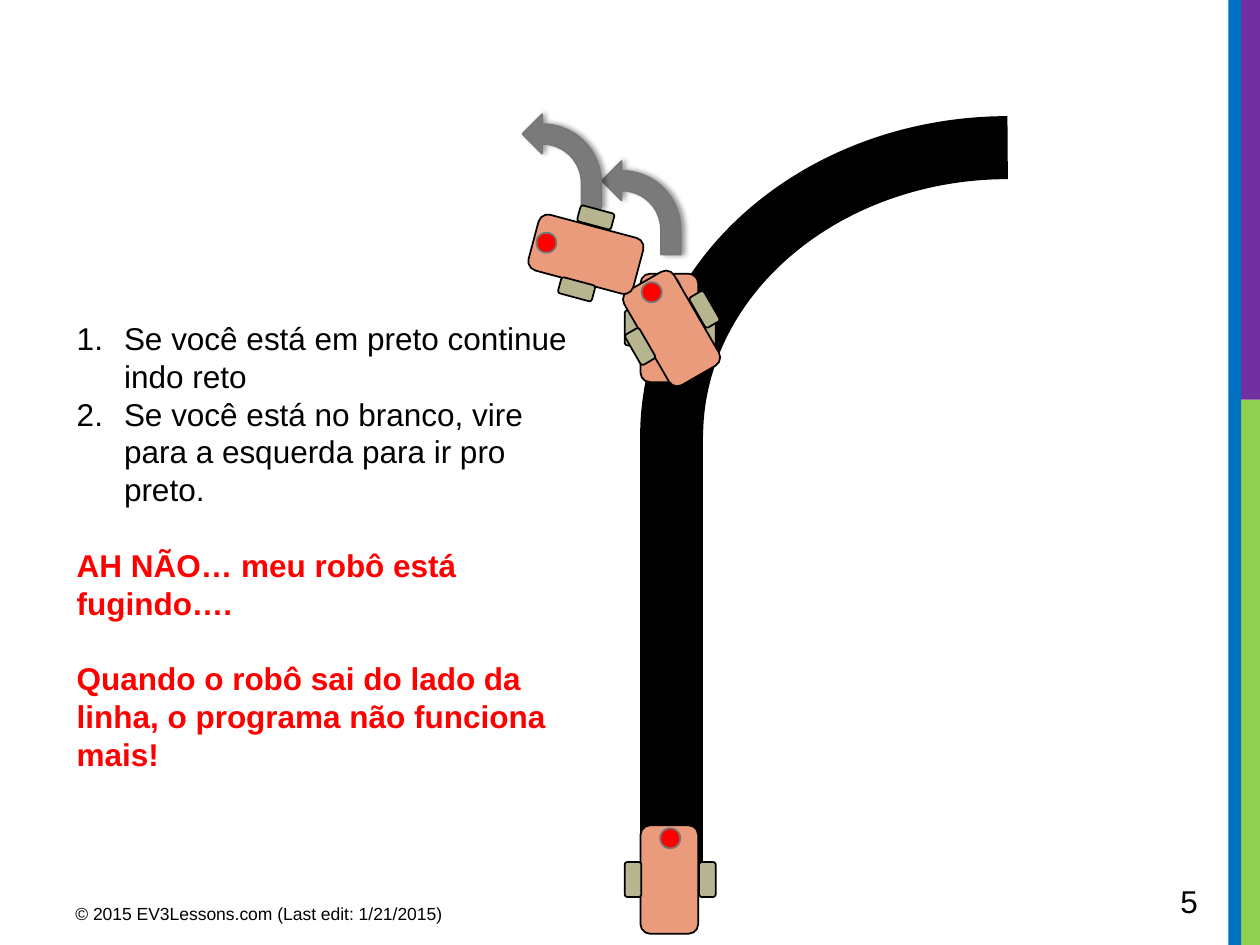
import pptx
import pptx.util
import pptx.dml.color
import pptx.enum.shapes
import pptx.enum.text
import pptx.oxml
import pptx.oxml.ns

Pt = pptx.util.Pt
KIND = pptx.enum.shapes.MSO_SHAPE
TEXT = pptx.enum.text
NS = pptx.oxml.ns.nsdecls("a")
HEX = {
    "black": "000000", "red": "FF0000", "body": "EA9B7C", "wheel": "B6B590",
    "gray": "777777", "arrow": "7A7A7A", "green": "92D050",
    "purple": "7030A0", "blue": "0070C0",
}


def tint(name):
    """Return the named colour."""
    return pptx.dml.color.RGBColor.from_string(HEX[name])


def add_form(shapes, kind, box, fill=None, line=None, width=1):
    """Add a preset shape with a plain fill and outline."""
    form = shapes.add_shape(kind, *map(Pt, box))
    form.shadow.inherit = False
    if fill:
        form.fill.solid()
        form.fill.fore_color.rgb = tint(fill)
    else:
        form.fill.background()
    if line:
        form.line.color.rgb = tint(line)
        form.line.width = Pt(width)
    else:
        form.line.fill.background()
    return form


def flip(form):
    """Mirror a shape left to right."""
    form._element.spPr.xfrm.set("flipH", "1")


def add_edge(slide, x, y, w, h):
    """Draw the colour bands on the right edge."""
    split = 0.423 * h
    for fill, left, top, wide, tall in (
        ("green", 6.5, split, w - 6.5, h - split),
        ("purple", 3.6, 0, w - 3.6, split),
        ("blue", 0, 0, 7.2, h),
    ):
        add_form(slide.shapes, KIND.RECTANGLE, (x + left, y + top, wide, tall), fill)


def add_road(slide, x, y, w, h):
    """Draw the straight road and its bend."""
    line = slide.shapes.add_connector(
        pptx.enum.shapes.MSO_CONNECTOR.STRAIGHT, Pt(x), Pt(y + h), Pt(x), Pt(y + 163.5))
    line.line.color.rgb = tint("black")
    line.line.width = Pt(36)
    line._element.spPr.append(pptx.oxml.parse_xml(f"<a:effectLst {NS}/>"))
    bend = add_form(slide.shapes, KIND.ARC, (x, y, w, 330), line="black", width=36)
    flip(bend)


def add_robot(slide, x, y, w, h, turn=0):
    """Draw a robot with two wheels and a sensor."""
    group = slide.shapes.add_group_shape()
    parts = group.shapes
    wheel = 9.5
    body = 33
    add_form(parts, KIND.ROUNDED_RECTANGLE, (x + (w - body) / 2 - 0.5, y, body, h), "body", "black")
    for left in (x + w - wheel, x):
        add_form(parts, KIND.ROUNDED_RECTANGLE, (left, y + 21, wheel, 20), "wheel", "black")
    add_form(parts, KIND.OVAL, (x + (w - 11.5) / 2, y + 1.7, 11.5, 11.5), "red", "gray")
    group.rotation = turn


def add_turn(slide, x, y, w, h):
    """Draw an arrow that bends to the left."""
    arrow = add_form(slide.shapes, KIND.BENT_ARROW, (x, y, w, h), "arrow", "gray")
    arrow.adjustments[3] = 0.75
    flip(arrow)
    props = arrow._element.spPr
    props.remove(props.find(pptx.oxml.ns.qn("a:effectLst")))
    props.append(pptx.oxml.parse_xml(
        f'<a:effectLst {NS}><a:outerShdw blurRad="{Pt(3.1)}" dist="{Pt(1.8)}" dir="0">'
        f'<a:srgbClr val="{HEX["black"]}"><a:alpha val="40000"/></a:srgbClr>'
        '</a:outerShdw></a:effectLst>'))


def add_frame(slide, x, y, w, h):
    """Add an empty wrapped text box."""
    frame = slide.shapes.add_textbox(Pt(x), Pt(y), Pt(w), Pt(h)).text_frame
    frame.word_wrap = True
    return frame


def add_run(para, text, size, fill="black", bold=False):
    """Add one run of text."""
    run = para.add_run()
    run.text = text
    run.font.name = "Arial"
    run.font.size = Pt(size)
    run.font.bold = bold
    run.font.color.rgb = tint(fill)


def add_rules(slide, x, y, w, h):
    """Write the numbered rules and the red notes."""
    frame = add_frame(slide, x, y, w, h)
    frame.auto_size = TEXT.MSO_AUTO_SIZE.SHAPE_TO_FIT_TEXT
    rows = (
        ("Se você está em preto continue indo reto", True),
        ("Se você está no branco, vire para a esquerda para ir pro preto.", True),
        ("AH NÃO… meu robô está fugindo….", False),
        ("Quando o robô sai do lado da linha, o programa não funciona mais!", False),
    )
    for i, (text, rule) in enumerate(rows):
        para = frame.add_paragraph() if i else frame.paragraphs[0]
        if rule:
            props = para._p.get_or_add_pPr()
            props.set("marL", str(Pt(27)))
            props.set("indent", str(-Pt(27)))
            props.append(pptx.oxml.parse_xml(f'<a:buFont {NS} typeface="+mj-lt"/>'))
            props.append(pptx.oxml.parse_xml(f'<a:buAutoNum {NS} type="arabicPeriod"/>'))
        else:
            para.space_before = Pt(21.6)
        add_run(para, text, 18, "black" if rule else "red", not rule)


def add_label(slide, x, y, w, h, text, size):
    """Write one line in the middle of its box."""
    frame = add_frame(slide, x, y, w, h)
    frame.vertical_anchor = TEXT.MSO_ANCHOR.MIDDLE
    add_run(frame.paragraphs[0], text, size)


def main():
    """Build and save the slide."""
    deck = pptx.Presentation()
    deck.slide_width, deck.slide_height = Pt(720), Pt(540)
    slide = deck.slides.add_slide(deck.slide_layouts[6])
    add_edge(slide, 702, 0, 18, 540)
    add_road(slide, 383.8, 84.4, 384, 416.6)
    add_robot(slide, 357, 471.6, 52, 62)
    add_robot(slide, 357, 156.4, 52, 62)
    add_turn(slide, 344, 92, 45, 53.5)
    add_robot(slide, 358.2, 156.4, 52, 62, 330)
    add_turn(slide, 298.6, 65.3, 45, 53.5)
    add_robot(slide, 309, 113.8, 52, 62, 285)
    add_rules(slide, 36.8, 178.8, 304, 269)
    add_label(slide, 36, 511, 270, 22, "© 2015 EV3Lessons.com (Last edit: 1/21/2015)", 10)
    add_label(slide, 667.4, 500.4, 52.6, 29, "5", 18)
    deck.save("out.pptx")


if __name__ == "__main__":
    main()
